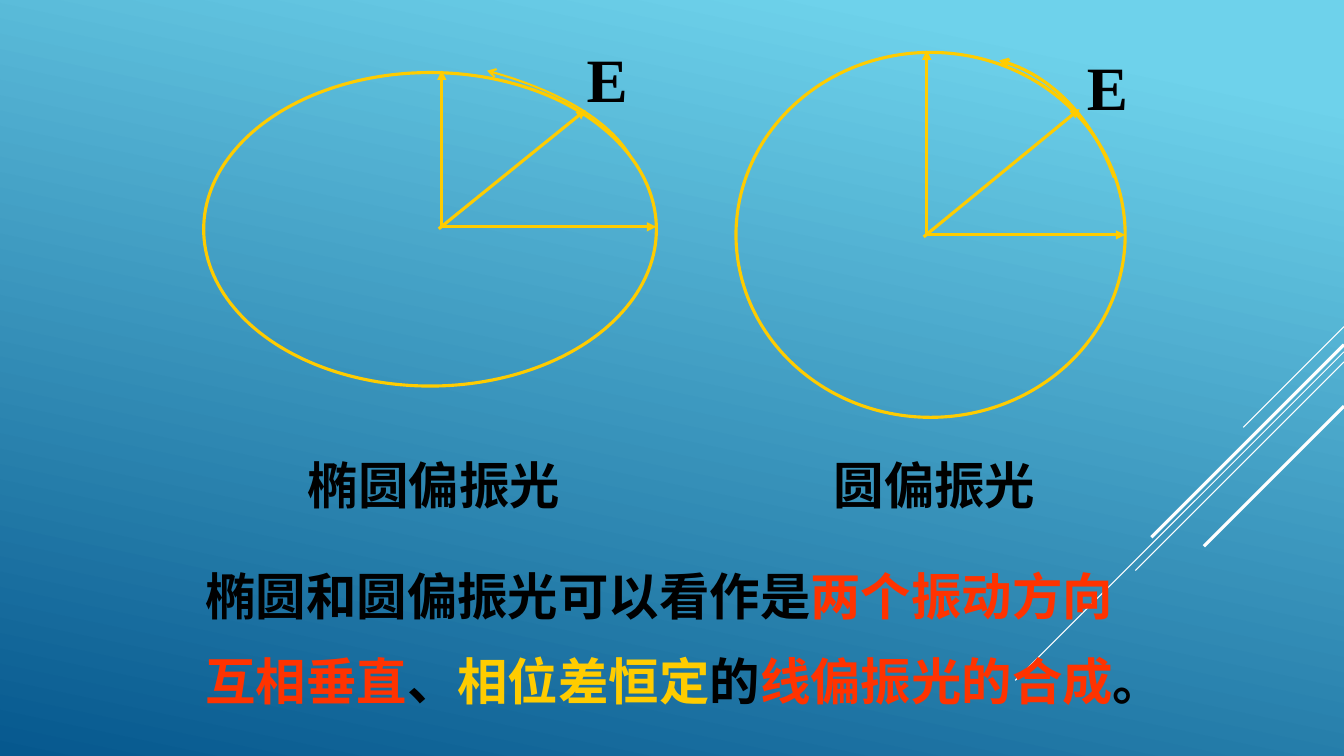
import pptx
import pptx.util
import pptx.dml.color
import pptx.enum.shapes
import pptx.enum.text
import pptx.oxml
import pptx.oxml.ns

Inches, Pt = pptx.util.Inches, pptx.util.Pt
RGBColor = pptx.dml.color.RGBColor

SKY = RGBColor(0x6E, 0xD2, 0xEB)
DEEP_BLUE = RGBColor(0x06, 0x58, 0x8E)
WHITE = RGBColor(0xFF, 0xFF, 0xFF)
BLACK = RGBColor(0, 0, 0)
GOLD = RGBColor(0xFF, 0xCC, 0x00)
RED = RGBColor(0xFF, 0x33, 0x00)
HAN_FONT, LATIN_FONT = "Noto Sans CJK SC", "Times New Roman"

WIDTH, HEIGHT = 13.33, 7.5
CAPTION_TOP = 4.46
ARC_STEPS = 24

# Boxes are left, top, width, height in inches; points are percentages of the box.
FIGURES = [
    dict(box=(2.02, 0.72, 4.49, 3.11), origin=(52.6, 49.2), tip=(84.4, 11.9),
         arc=[(62.6, -0.6), (78.2, 5.5), (89.5, 15.1), (94.2, 26.4)], arc_width=1.5,
         label=(82.4, -11.6), caption="椭圆偏振光", caption_font=HAN_FONT),
    dict(box=(7.3, 0.52, 3.86, 3.62), origin=(49, 50), tip=(88.3, 15.5),
         arc=[(67.6, 2.2), (80.6, 5.8), (91.5, 17.7), (97.2, 34.3)], arc_width=2.25,
         label=(87.6, -2.2), caption="圆偏振光", caption_font=LATIN_FONT),
]
# Top on the right edge, horizontal and vertical run, line width.
STRIPES = [(3.24, 1, 0.75), (3.49, 3.26, 0.75), (3.59, 2.07, 0.75),
           (3.42, 1.91, 2.25), (4.03, 1.39, 2.25)]
SUMMARY = [
    [("椭圆和圆偏振光可以看作是", BLACK), ("两个振动方向", RED)],
    [("互相垂直", RED), ("、", BLACK), ("相位差恒定", GOLD), ("的", BLACK),
     ("线偏振光的合成", RED), ("。", BLACK)],
]


def add_arrowhead(line, end, kind):
    head = pptx.oxml.parse_xml(
        f'<a:{end} {pptx.oxml.ns.nsdecls("a")} type="{kind}"/>')
    line._get_or_add_ln().append(head)


def style_line(shape, color, width):
    shape.line.color.rgb = color
    shape.line.width = Pt(width)


def add_line(page, start, finish, color, width, arrow=False):
    line = page.shapes.add_connector(
        pptx.enum.shapes.MSO_CONNECTOR.STRAIGHT,
        *(Inches(value) for value in (*start, *finish)))
    style_line(line, color, width)
    line._element.spPr.append(
        pptx.oxml.parse_xml(f'<a:effectLst {pptx.oxml.ns.nsdecls("a")}/>'))
    if arrow:
        add_arrowhead(line.line, "tailEnd", "triangle")


def add_text(page, box, lines, size, font_name, wrap=False, spacing=None):
    """Write lines, each a list of (words, color) spans."""
    frame = page.shapes.add_textbox(*map(Inches, box)).text_frame
    frame.word_wrap = wrap
    for index, spans in enumerate(lines):
        para = frame.add_paragraph() if index else frame.paragraphs[0]
        if spacing:
            para.line_spacing = spacing
        for words, color in spans:
            span = para.add_run()
            span.text = words
            span.font.size = Pt(size)
            span.font.bold = True
            span.font.color.rgb = color
            span.font.name = font_name
            east_asian = pptx.oxml.parse_xml(
                f'<a:ea {pptx.oxml.ns.nsdecls("a")} typeface="{HAN_FONT}"/>')
            span.font._element.append(east_asian)


def add_arc(page, controls, width):
    """Draw a cubic curve with an open arrowhead at its start."""
    points = []
    for step in range(ARC_STEPS + 1):
        t = step / ARC_STEPS
        weights = ((1 - t) ** 3, 3 * t * (1 - t) ** 2, 3 * t * t * (1 - t), t ** 3)
        points.append(tuple(
            Inches(sum(weight * point[axis] for weight, point in zip(weights, controls)))
            for axis in (0, 1)))
    builder = page.shapes.build_freeform(*points[0])
    builder.add_line_segments(points[1:], close=False)
    arc = builder.convert_to_shape()
    arc.shadow.inherit = False
    arc.fill.background()
    style_line(arc, GOLD, width)
    add_arrowhead(arc.line, "headEnd", "arrow")


def add_figure(page, box, origin, tip, arc, arc_width, label, caption, caption_font):
    left, top, width, height = box

    def place(point):
        return left + width * point[0] / 100, top + height * point[1] / 100

    outline = page.shapes.add_shape(
        pptx.enum.shapes.MSO_SHAPE.OVAL, *map(Inches, box))
    outline.shadow.inherit = False
    outline.fill.background()
    style_line(outline, GOLD, 2.25)

    center_x, center_y = place(origin)
    add_line(page, (center_x - 0.03, center_y + 0.02), place(tip), GOLD, 2.25, True)
    add_arc(page, [place(point) for point in arc], arc_width)
    for finish in ((left + width, center_y), (center_x, top - 0.02)):
        add_line(page, (center_x, center_y), finish, GOLD, 2.25, True)

    add_text(page, (*place(label), 0.61, 0.83), [[("E", BLACK)]], 44, LATIN_FONT)
    caption_width = 0.5 * len(caption) + 0.24
    caption_left = left + (width - caption_width) / 2 + 0.06
    add_text(page, (caption_left, CAPTION_TOP, caption_width, 0.71),
             [[(caption, BLACK)]], 36, caption_font)


def add_backdrop(page):
    fill = page.background.fill
    fill.gradient()
    fill.gradient_angle = 360 - 102
    for stop, position, color in zip(fill.gradient_stops, (0.1, 1), (SKY, DEEP_BLUE)):
        stop.position = position
        stop.color.rgb = color
    for top, run, width in STRIPES:
        add_line(page, (WIDTH, top), (WIDTH - run, top + run), WHITE, width)


def main():
    deck = pptx.Presentation()
    deck.slide_width, deck.slide_height = Inches(WIDTH), Inches(HEIGHT)
    page = deck.slides.add_slide(deck.slide_layouts[6])
    add_backdrop(page)
    for figure in FIGURES:
        add_figure(page, **figure)
    add_text(page, (1.94, 5.32, 9.84, 1.78), SUMMARY, 36, LATIN_FONT,
             wrap=True, spacing=1.4)
    deck.save("out.pptx")


if __name__ == "__main__":
    main()
